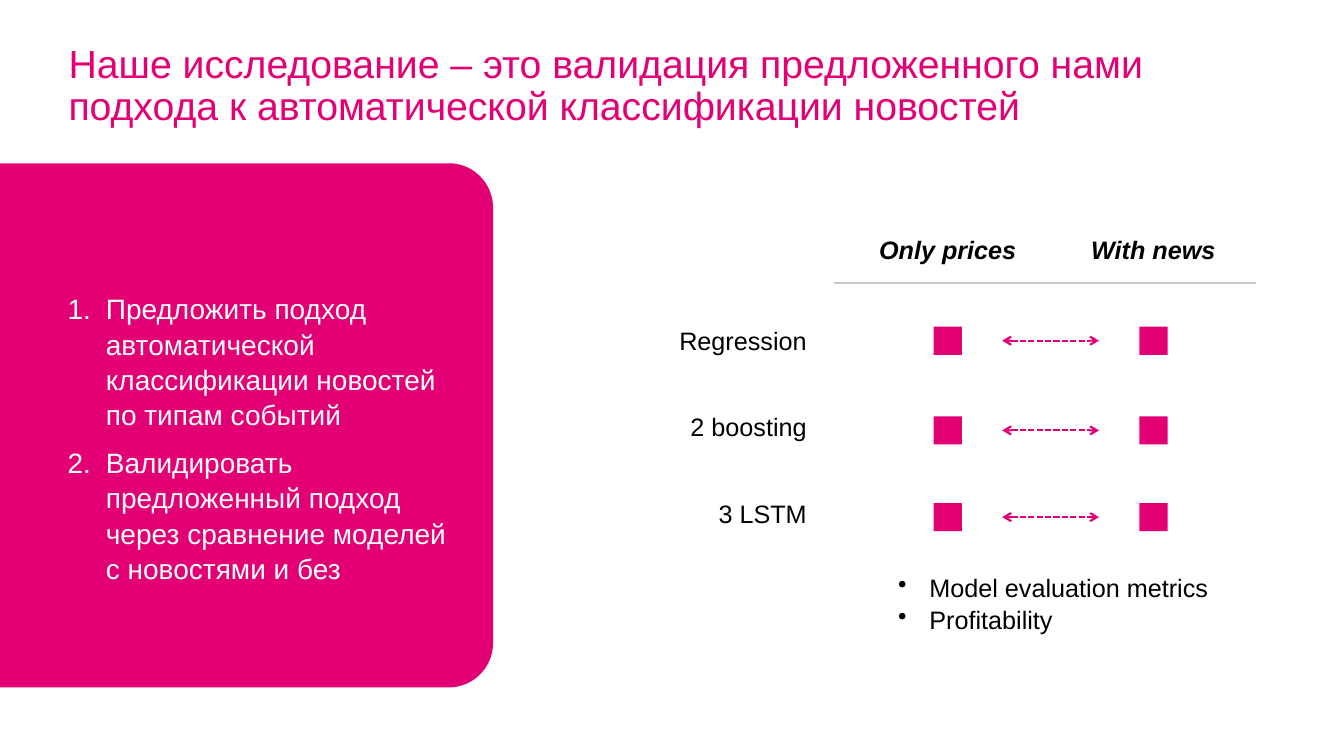
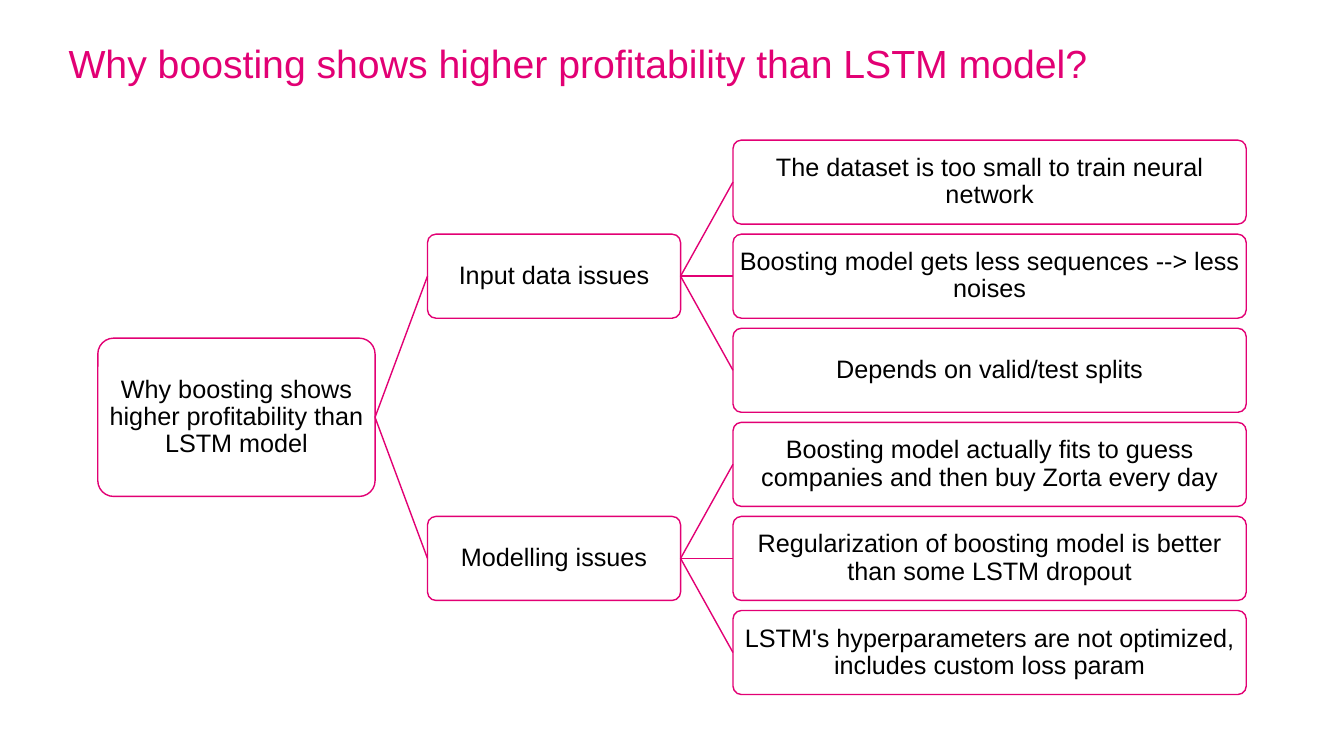
from dataclasses import dataclass
from math import cos, radians, sin

from lxml.etree import SubElement
from pptx import Presentation
from pptx.dml.color import RGBColor
from pptx.enum.dml import MSO_LINE
from pptx.enum.shapes import MSO_CONNECTOR, MSO_SHAPE
from pptx.enum.text import MSO_ANCHOR, PP_ALIGN
from pptx.oxml.ns import qn
from pptx.util import Emu, Pt

PX = 9144  # 100 px to the inch
LEFT_SITE, RIGHT_SITE = 1, 3


@dataclass(frozen=True)
class Theme:
    font: str = "Arial"
    pink: RGBColor = RGBColor(0xE2, 0x00, 0x74)
    black: RGBColor = RGBColor(0, 0, 0)
    white: RGBColor = RGBColor(0xFF, 0xFF, 0xFF)
    grey: RGBColor = RGBColor(0xC8, 0xC8, 0xC8)
    title: int = 28
    lead: int = 20
    body: int = 18
    rule: float = 1.5
    edge: int = 1
    tight: float = 0.9
    loose: float = 1.05


THEME = Theme()

GOALS = {
    "title": "Наше исследование – это валидация предложенного нами "
             "подхода к автоматической классификации новостей",
    "steps": [
        "Предложить подход автоматической классификации новостей по типам событий",
        "Валидировать предложенный подход через сравнение моделей с новостями и без",
    ],
    # heading, middle of its column
    "heads": [("Only prices", 940), ("With news", 1144)],
    # model, middle of its label, middle of its marks
    "models": [("Regression", 338, 338), ("2 boosting", 423, 427), ("3 LSTM", 509, 513)],
    "tests": ["Model evaluation metrics", "Profitability"],
}

CAUSES = {
    "title": "Why boosting shows higher profitability than LSTM model?",
    "root": "Why boosting shows higher profitability than LSTM model",
    "groups": [
        ("Input data issues", [
            "The dataset is too small to train neural network",
            "Boosting model gets less sequences --> less noises",
            "Depends on valid/test splits",
        ]),
        ("Modelling issues", [
            "Boosting model actually fits to guess companies and then buy Zorta every day",
            "Regularization of boosting model is better than some LSTM dropout",
            "LSTM's hyperparameters are not optimized, includes custom loss param",
        ]),
    ],
}


def px(*sizes):
    return [Emu(round(size * PX)) for size in sizes]


def add_list(para, kind, value, indent):
    """Give a paragraph a hanging bullet or number."""
    props = para._p.get_or_add_pPr()
    hang = px(indent)[0]
    props.set("marL", str(hang))
    props.set("indent", str(-hang))
    key = "type" if kind == "buAutoNum" else "char"
    SubElement(props, qn("a:" + kind)).set(key, value)


def write(shape, lines, size=THEME.body, color=THEME.black, align=PP_ALIGN.LEFT,
          anchor=MSO_ANCHOR.MIDDLE, pads=(10, 5, 10, 5), space=None, after=0,
          bold=False, italic=False, mark=None):
    frame = shape.text_frame
    frame.text = "\n".join(lines)
    frame.word_wrap = True
    frame.vertical_anchor = anchor
    (frame.margin_left, frame.margin_top,
     frame.margin_right, frame.margin_bottom) = px(*pads)
    for para in frame.paragraphs:
        if mark:
            add_list(para, *mark)
        para.alignment = align
        para.line_spacing = space
        para.space_after = Pt(after)
        for run in para.runs:
            font = run.font
            font.name, font.size = THEME.font, Pt(size)
            font.bold, font.italic = bold, italic
            font.color.rgb = color


def add_text(slide, box, lines, **style):
    write(slide.shapes.add_textbox(*px(*box)), lines, **style)


def add_line(slide, ends, color, width):
    line = slide.shapes.add_connector(MSO_CONNECTOR.STRAIGHT, *px(*ends))
    line.line.color.rgb = color
    line.line.width = Pt(width)
    SubElement(line._element.spPr, qn("a:effectLst"))
    return line


def add_slide(deck, title):
    slide = deck.slides.add_slide(deck.slide_layouts[6])
    add_text(slide, (68, 44, 1197, 79), [title], size=THEME.title, color=THEME.pink,
             anchor=MSO_ANCHOR.TOP, pads=(0, 0, 0, 0), space=THEME.tight)
    return slide


def paint(shape, color):
    shape.shadow.inherit = False
    shape.fill.solid()
    shape.fill.fore_color.rgb = color
    shape.line.fill.background()


def add_panel(slide, top=162, right=489, low=682, curve=44):
    """Draw the block on the left edge, round on its right side only."""
    turns = [radians(step) for step in range(0, 91, 3)]
    upper = [(right - curve + curve * sin(t), top + curve - curve * cos(t)) for t in turns]
    lower = [(x, top + low - y) for x, y in reversed(upper)]
    pen = slide.shapes.build_freeform(*px(0, top), scale=1.0)
    pen.add_line_segments([px(*dot) for dot in upper + lower + [(0, low)]], close=True)
    panel = pen.convert_to_shape()
    paint(panel, THEME.pink)
    return panel


def add_arrow(slide, ends):
    arrow = add_line(slide, ends, THEME.pink, THEME.rule)
    arrow.line.dash_style = MSO_LINE.SQUARE_DOT
    for end in ("a:headEnd", "a:tailEnd"):
        SubElement(arrow.line._ln, qn(end)).set("type", "arrow")


def draw_goals(deck):
    slide = add_slide(deck, GOALS["title"])
    write(add_panel(slide), GOALS["steps"], size=THEME.lead, color=THEME.white,
          anchor=MSO_ANCHOR.TOP, pads=(67, 126, 39, 39), space=THEME.loose, after=9,
          mark=("buAutoNum", "arabicPeriod", 38))

    wide, high, side = 196, 59, 28
    for head, mid in GOALS["heads"]:
        add_text(slide, (mid - wide / 2, 218, wide, high), [head],
                 align=PP_ALIGN.CENTER, bold=True, italic=True)
    add_line(slide, (827, 281, 1246, 281), THEME.grey, THEME.rule)

    for name, label, mid in GOALS["models"]:
        add_text(slide, (614, label - high / 2, wide, high), [name], align=PP_ALIGN.RIGHT)
        add_arrow(slide, (994, mid, 1090, mid))
        for _, col in GOALS["heads"]:
            box = px(col - side / 2, mid - side / 2, side, side)
            paint(slide.shapes.add_shape(MSO_SHAPE.RECTANGLE, *box), THEME.pink)

    add_text(slide, (881, 560, 353, 76), GOALS["tests"], space=THEME.loose,
             mark=("buChar", "•", 31))


def add_node(slide, text, left, mid, wide, high):
    box = px(left, mid - high / 2, wide, high)
    node = slide.shapes.add_shape(MSO_SHAPE.ROUNDED_RECTANGLE, *box)
    node.adjustments[0] = 0.1
    node.shadow.inherit = False
    node.fill.background()
    node.line.color.rgb = THEME.pink
    node.line.width = Pt(THEME.edge)
    write(node, [text], align=PP_ALIGN.CENTER, pads=(1, 1, 1, 1), space=THEME.tight)
    return node


def join(slide, source, target):
    link = add_line(slide, (0, 0, 0, 0), THEME.pink, THEME.edge)
    link.begin_connect(source, RIGHT_SITE)
    link.end_connect(target, LEFT_SITE)


def draw_causes(deck):
    slide = add_slide(deck, CAUSES["title"])
    top, low, gap = 139, 689, 10
    count = sum(len(leaves) for _, leaves in CAUSES["groups"])
    high = (low - top - gap * (count - 1)) / count

    root = add_node(slide, CAUSES["root"], 97, (top + low) / 2, 275, 157)
    first = top + high / 2
    for name, leaves in CAUSES["groups"]:
        mids = [first + i * (high + gap) for i in range(len(leaves))]
        group = add_node(slide, name, 424, sum(mids) / len(mids), 251, high)
        join(slide, root, group)
        for text, mid in zip(leaves, mids):
            join(slide, group, add_node(slide, text, 727, mid, 509, high))
        first = mids[-1] + high + gap


def main():
    deck = Presentation()
    deck.slide_width, deck.slide_height = px(1333, 750)
    draw_goals(deck)
    draw_causes(deck)
    deck.save("out.pptx")


if __name__ == "__main__":
    main()
